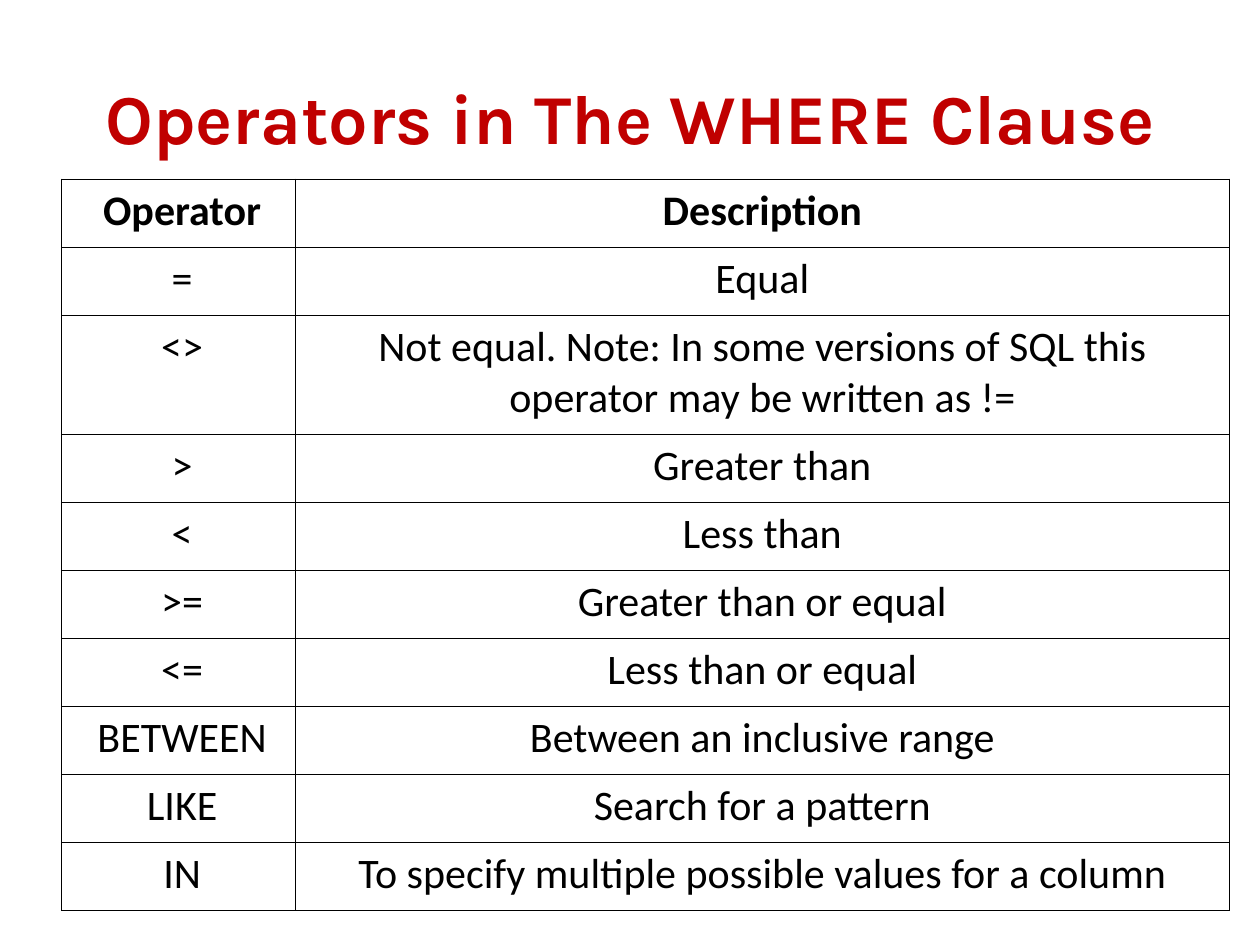
import dataclasses

import lxml.etree
import pptx
import pptx.dml.color
import pptx.enum.text
import pptx.oxml.ns
import pptx.util

Inches = pptx.util.Inches
Pt = pptx.util.Pt
RED = pptx.dml.color.RGBColor(0xC0, 0x00, 0x00)
BLACK = pptx.dml.color.RGBColor(0x00, 0x00, 0x00)
CENTER = pptx.enum.text.PP_ALIGN.CENTER
MIDDLE = pptx.enum.text.MSO_ANCHOR.MIDDLE
TOP = pptx.enum.text.MSO_ANCHOR.TOP

WIDTHS = (1.85, 7.42)
LEFT_PADS = (0.13, 0.07)


@dataclasses.dataclass(frozen=True)
class Entry:
    sign: str
    note: str
    height: float = 0.54
    bold: bool = False


ENTRIES = [
    Entry("Operator", "Description", bold=True),
    Entry("=", "Equal"),
    Entry("<>", "Not equal. Note: In some versions of SQL this operator "
          "may be written as !=", height=0.95),
    Entry(">", "Greater than"),
    Entry("<", "Less than"),
    Entry(">=", "Greater than or equal"),
    Entry("<=", "Less than or equal"),
    Entry("BETWEEN", "Between an inclusive range"),
    Entry("LIKE", "Search for a pattern"),
    Entry("IN", "To specify multiple possible values for a column"),
]


def style(frame, font: str, size: float, color, bold: bool) -> None:
    for para in frame.paragraphs:
        para.alignment = CENTER
        for run in para.runs:
            run.font.name = font
            run.font.size = Pt(size)
            run.font.color.rgb = color
            run.font.bold = bold


def border(cell) -> None:
    qn = pptx.oxml.ns.qn
    props = cell._tc.get_or_add_tcPr()
    for side in ("lnL", "lnR", "lnT", "lnB"):
        line = lxml.etree.SubElement(props, qn(f"a:{side}"), w=str(Pt(0.45)))
        fill = lxml.etree.SubElement(line, qn("a:solidFill"))
        lxml.etree.SubElement(fill, qn("a:srgbClr"), val=str(BLACK))


def write(cell, text: str, pad: float, bold: bool) -> None:
    cell.margin_left = Inches(pad)
    cell.margin_right = Inches(0.07)
    cell.margin_top = cell.margin_bottom = Inches(0.05)
    cell.vertical_anchor = TOP
    border(cell)
    cell.fill.background()
    cell.text_frame.text = text
    style(cell.text_frame, "Calibri", 24, BLACK, bold)


def add_title(slide) -> None:
    title = slide.shapes.title
    title.left, title.top = Inches(0.5), Inches(0.3)
    title.width, title.height = Inches(9), Inches(1.25)
    frame = title.text_frame
    frame.text = "Operators in The WHERE Clause"
    frame.vertical_anchor = MIDDLE
    style(frame, "Karla", 40, RED, True)


def add_grid(slide, entries: list[Entry]) -> None:
    high = sum(entry.height for entry in entries)
    table = slide.shapes.add_table(
        len(entries), len(WIDTHS), Inches(0.49), Inches(1.42),
        Inches(sum(WIDTHS)), Inches(high)).table
    table.first_row = table.horz_banding = False
    for column, width in zip(table.columns, WIDTHS):
        column.width = Inches(width)
    for row, entry in zip(table.rows, entries):
        row.height = Inches(entry.height)
        for cell, text, pad in zip(row.cells, (entry.sign, entry.note), LEFT_PADS):
            write(cell, text, pad, entry.bold)


def main() -> None:
    deck = pptx.Presentation()
    deck.slide_width, deck.slide_height = Inches(10), Inches(7.5)
    # Title Only layout
    slide = deck.slides.add_slide(deck.slide_layouts[5])
    add_title(slide)
    add_grid(slide, ENTRIES)
    deck.save("out.pptx")


if __name__ == "__main__":
    main()
